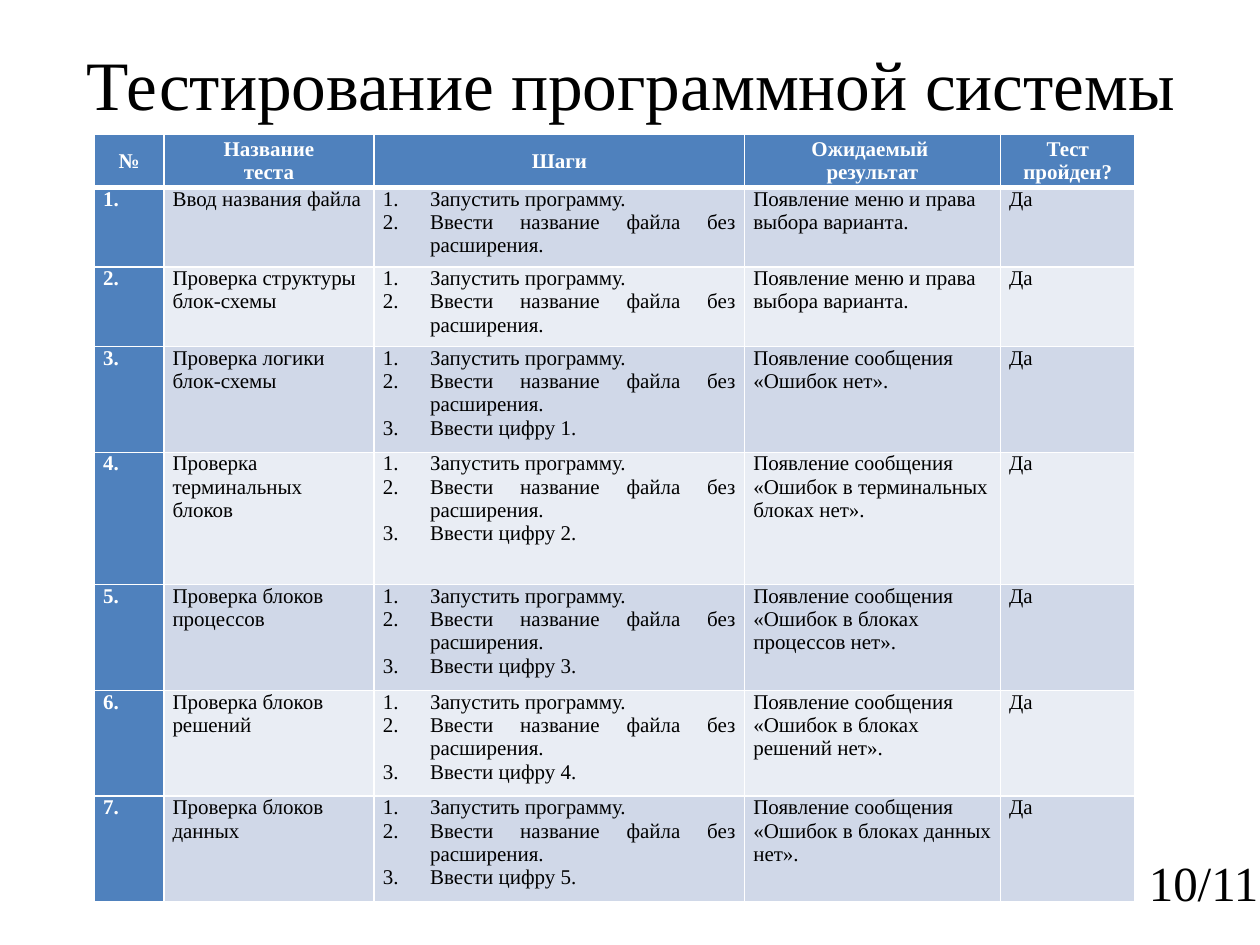
from lxml.etree import SubElement, Element
from pptx import Presentation
from pptx.dml.color import RGBColor
from pptx.enum.text import MSO_ANCHOR as Anchor, MSO_AUTO_SIZE as AutoSize, PP_ALIGN as Align
from pptx.oxml.ns import qn
from pptx.util import Pt

FONT = "Times New Roman"
WHITE, BLACK, BLUE = "FFFFFF", "000000", "4F81BD"
BANDS = ["D0D8E8", "E9EDF4"]
COLUMNS = [39.6, 120.2, 211.7, 146.2, 77]
ROWS = [30.2, 45.4, 45.4, 60.5, 75.6, 60.5, 60.5, 60.5]
HEADERS = ["№", "Название\nтеста", "Шаги", "Ожидаемый \nрезультат", "Тест пройден?"]
FIRST_STEPS = ["Запустить программу.", "Ввести название файла без расширения."]
MENU = "Появление меню и права выбора варианта."
TESTS = [
    ("Ввод названия файла", MENU),
    ("Проверка структуры блок-схемы", MENU),
    ("Проверка логики блок-схемы", "Появление сообщения «Ошибок нет»."),
    ("Проверка терминальных блоков",
     "Появление сообщения «Ошибок в терминальных блоках нет»."),
    ("Проверка блоков процессов", "Появление сообщения «Ошибок в блоках процессов нет»."),
    ("Проверка блоков решений", "Появление сообщения «Ошибок в блоках решений нет»."),
    ("Проверка блоков данных", "Появление сообщения «Ошибок в блоках данных нет»."),
]


def color(value):
    """Turn a hex string into a colour."""
    return RGBColor.from_string(value)


def write(frame, text, size, ink=BLACK, bold=False, align=Align.LEFT):
    """Set the text of a frame and format every run."""
    frame.text = text
    for para in frame.paragraphs:
        para.alignment = align
        for span in para.runs:
            font = span.font
            font.name, font.size, font.bold = FONT, Pt(size), bold
            font.color.rgb = color(ink)


def number(para, indent):
    """Give a paragraph an automatic number with a hanging indent."""
    props = para._p.get_or_add_pPr()
    props.set("marL", str(Pt(indent)))
    props.set("indent", str(-Pt(indent)))
    SubElement(props, qn("a:buFont"), typeface="+mj-lt")
    SubElement(props, qn("a:buAutoNum"), type="arabicPeriod")


def border(cell, top, bottom):
    """Draw white lines on the four sides of a cell."""
    props = cell._tc.get_or_add_tcPr()
    for place, (side, width) in enumerate(zip("LRTB", (1, 1, top, bottom))):
        line = Element(qn("a:ln" + side), w=str(Pt(width)))
        fill = SubElement(line, qn("a:solidFill"))
        SubElement(fill, qn("a:srgbClr"), val=WHITE)
        props.insert(place, line)


def fill_cell(cell, text, fill, top=1, bottom=1, anchor=Anchor.TOP, **style):
    """Write one table cell with its fill, margins and borders."""
    write(cell.text_frame, text, 12, **style)
    cell.margin_left = cell.margin_right = Pt(5)
    cell.margin_top = cell.margin_bottom = Pt(0)
    cell.vertical_anchor = anchor
    cell.fill.solid()
    cell.fill.fore_color.rgb = color(fill)
    border(cell, top, bottom)


def add_title(page, left, top, width, height):
    """Place the slide title."""
    title = page.shapes.title
    title.left, title.top, title.width, title.height = map(Pt, (left, top, width, height))
    write(title.text_frame, "Тестирование программной системы", 39.6, align=Align.CENTER)
    title.text_frame.vertical_anchor = Anchor.MIDDLE


def add_page_number(page, left, top, width, height):
    """Place the page counter."""
    box = page.shapes.add_textbox(*map(Pt, (left, top, width, height)))
    box.text_frame.word_wrap = False
    box.text_frame.auto_size = AutoSize.SHAPE_TO_FIT_TEXT
    write(box.text_frame, "10/11", 28)


def add_tests(page, left, top):
    """Build the table of tests."""
    size = left, top, sum(COLUMNS), sum(ROWS)
    table = page.shapes.add_table(len(ROWS), len(COLUMNS), *map(Pt, size)).table
    for column, width in zip(table.columns, COLUMNS):
        column.width = Pt(width)
    for row, height in zip(table.rows, ROWS):
        row.height = Pt(height)
    for index, header in enumerate(HEADERS):
        fill_cell(table.cell(0, index), header, BLUE, bottom=3, anchor=Anchor.MIDDLE,
                  ink=WHITE, bold=True, align=Align.CENTER)
    for index, (name, result) in enumerate(TESTS, 1):
        edge = 3 if index == 1 else 1
        band = BANDS[(index - 1) % 2]
        steps = FIRST_STEPS + ([f"Ввести цифру {index - 2}."] if index > 2 else [])
        cells = table.rows[index].cells
        fill_cell(cells[0], f"{index}.", BLUE, edge, ink=WHITE, bold=True, align=Align.JUSTIFY)
        fill_cell(cells[1], name, band, edge)
        fill_cell(cells[2], "\n".join(steps), band, edge, align=Align.JUSTIFY)
        fill_cell(cells[3], result, band, edge)
        fill_cell(cells[4], "Да", band, edge)
        for para in cells[2].text_frame.paragraphs:
            number(para, 27)


def main():
    """Build and save the deck."""
    deck = Presentation()
    deck.slide_width, deck.slide_height = Pt(720), Pt(540)
    page = deck.slides.add_slide(deck.slide_layouts[5])
    add_title(page, 36.7, 2.2, 648, 90)
    add_page_number(page, 649.4, 483.8, 77.8, 41)
    add_tests(page, 54, 77)
    deck.save("out.pptx")


if __name__ == "__main__":
    main()
